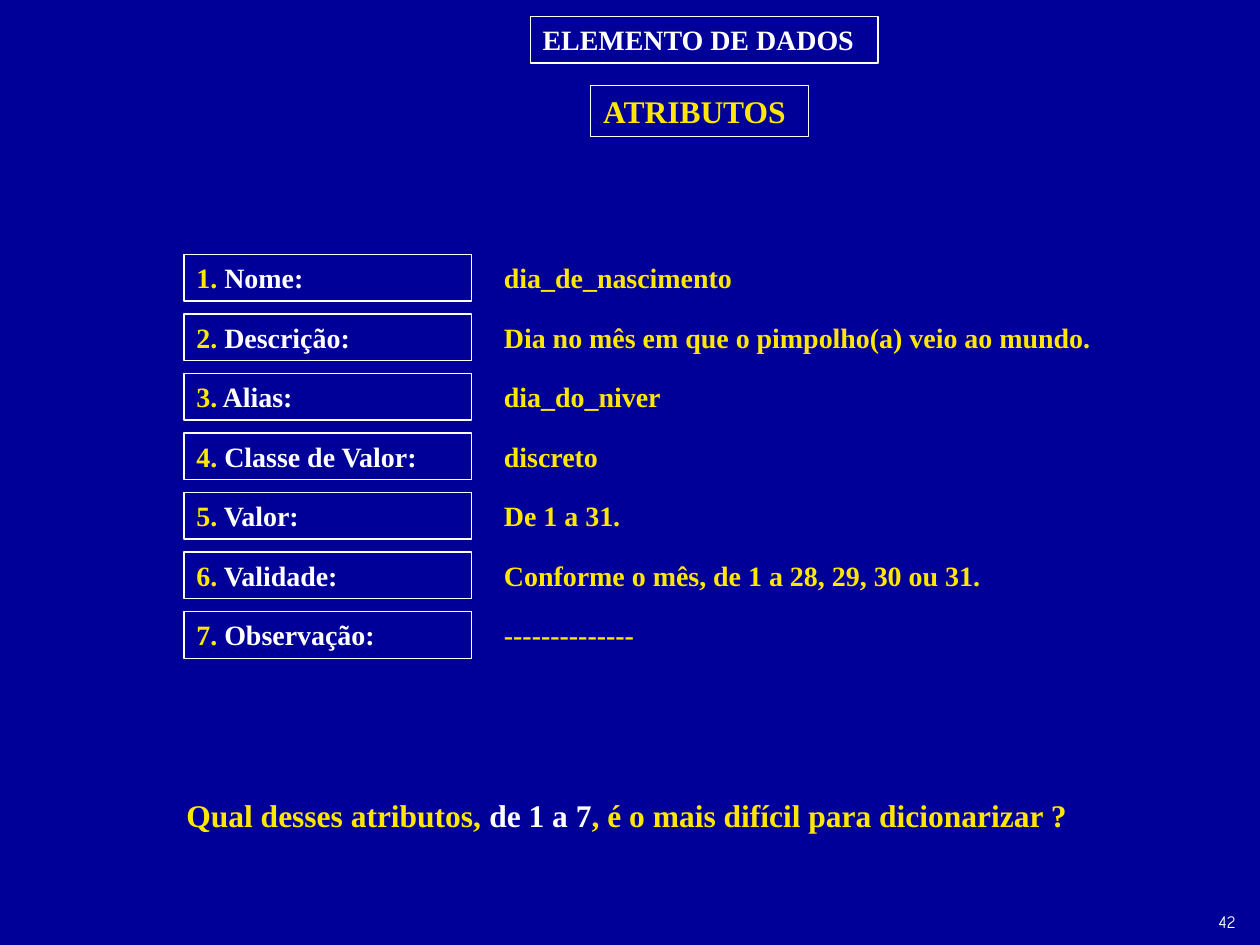
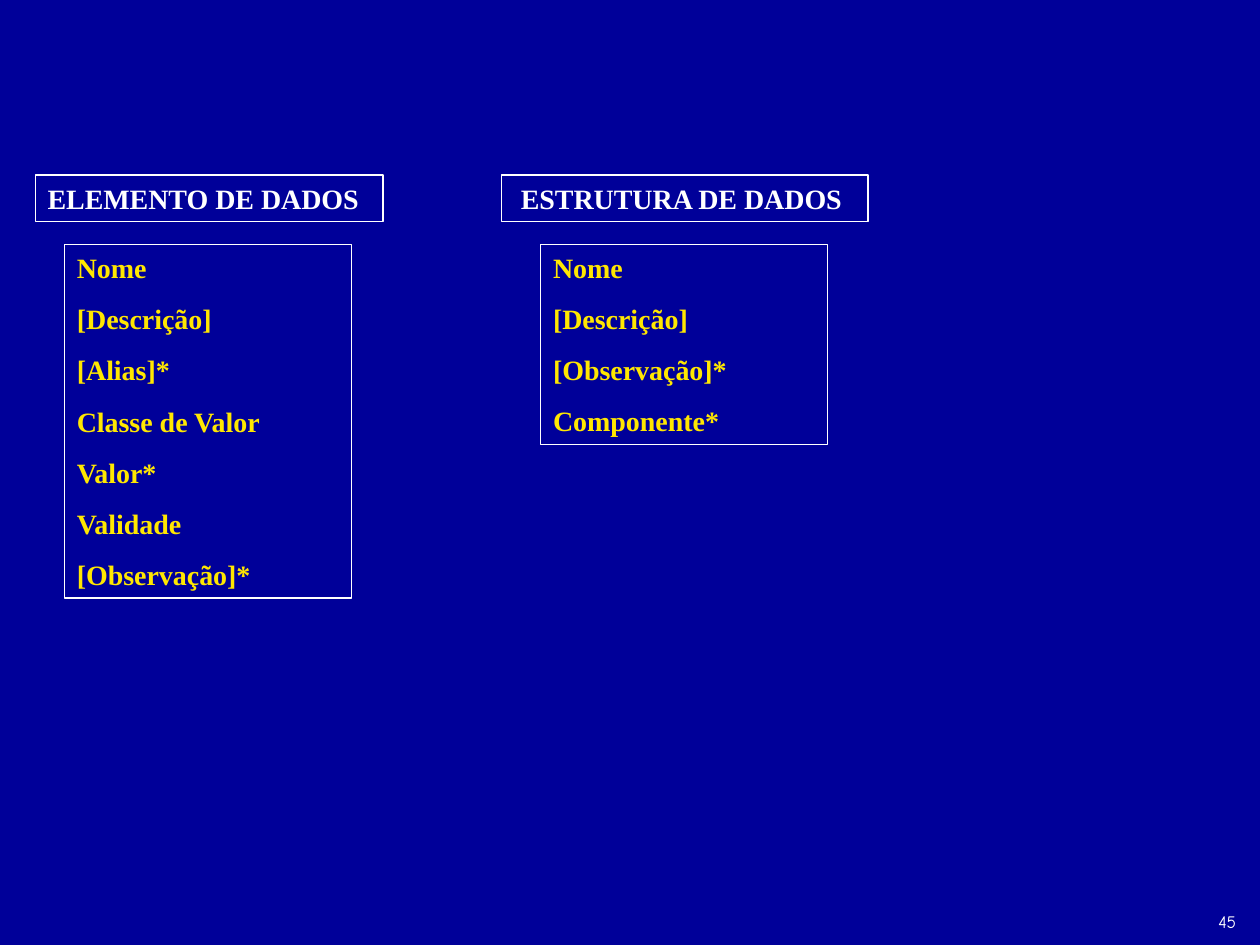
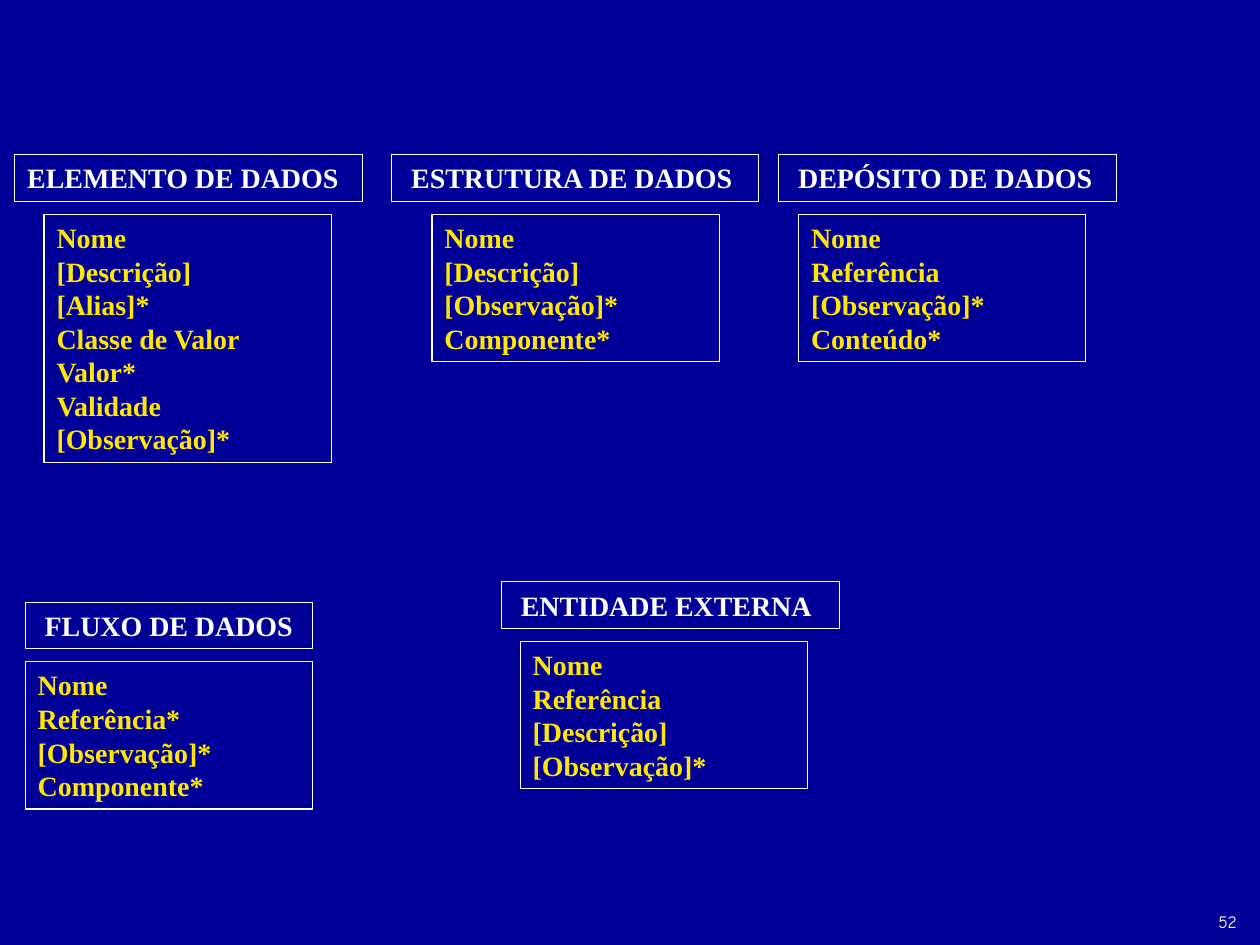
from dataclasses import dataclass
from pptx import Presentation
from pptx.dml.color import RGBColor as Color
from pptx.enum.shapes import MSO_SHAPE as Preset
from pptx.enum.text import MSO_ANCHOR as Anchor, MSO_AUTO_SIZE as AutoSize, PP_ALIGN as Align
from pptx.util import Cm, Pt


@dataclass(frozen=True)
class Theme:
    background: Color = Color.from_string("000099")
    white: Color = Color.from_string("FFFFFF")
    yellow: Color = Color.from_string("FFE701")
    serif: str = "Times New Roman"
    casual: str = "Comic Neue"
    body: int = 16
    large: int = 18
    small: int = 10
    leading: float = 1.2
    line_width: float = 0.74
    box_width: float = 5.79
    box_height: float = 0.94
    large_height: float = 1.02
    row_height: float = 0.68
    insets: float = 0.25


THEME = Theme()


class Deck:
    def __init__(self, theme):
        self.theme = theme
        self.presentation = Presentation()
        self.presentation.slide_width = Cm(25.4)
        self.presentation.slide_height = Cm(19.05)
        fill = self.presentation.slide_master.background.fill
        fill.solid()
        fill.fore_color.rgb = theme.background
        self.slide = None

    def add_slide(self, number):
        self.slide = self.presentation.slides.add_slide(self.presentation.slide_layouts[6])
        self.text(24.31, 18.24, 0.99, 0.69, [[(number, self.theme.white)]],
                  size=self.theme.small, font=self.theme.casual, bold=False, space=6.2)

    def fill_text(self, shape, paragraphs, size, font, bold, space):
        frame = shape.text_frame
        frame_format = {
            "word_wrap": True,
            "auto_size": AutoSize.SHAPE_TO_FIT_TEXT,
            "vertical_anchor": Anchor.TOP,
        }
        for name, value in frame_format.items():
            setattr(frame, name, value)
        paragraph_format = {
            "alignment": Align.LEFT,
            "space_before": Pt(space),
            "line_spacing": Pt(size * self.theme.leading),
        }
        font_format = {"name": font, "size": Pt(size), "bold": bold}
        for index, runs in enumerate(paragraphs):
            paragraph = frame.add_paragraph() if index else frame.paragraphs[0]
            for name, value in paragraph_format.items():
                setattr(paragraph, name, value)
            for words, color in runs:
                run = paragraph.add_run()
                run.text = words
                run.font.color.rgb = color
                for name, value in font_format.items():
                    setattr(run.font, name, value)

    def text(self, left, top, width, height, paragraphs,
             size=THEME.body, font=THEME.serif, bold=True, space=10):
        shape = self.slide.shapes.add_textbox(Cm(left), Cm(top), Cm(width), Cm(height))
        self.fill_text(shape, paragraphs, size, font, bold, space)

    def box(self, left, top, width, height, paragraphs, size=THEME.body, space=10):
        shape = self.slide.shapes.add_shape(
            Preset.RECTANGLE, Cm(left), Cm(top), Cm(width), Cm(height))
        shape.shadow.inherit = False
        shape.fill.background()
        shape.line.color.rgb = self.theme.white
        shape.line.width = Pt(self.theme.line_width)
        self.fill_text(shape, paragraphs, size, self.theme.serif, True, space)

    def heading(self, left, top, width, words, space=10):
        self.box(left, top, width, self.theme.box_height,
                 [[(words, self.theme.white)]], space=space)

    def card(self, left, top, width, list_left, title, items, offset, space):
        self.heading(left, top, width, title, space)
        count = len(items)
        height = (count * self.theme.row_height + (count - 1) * Pt(space).cm
                  + 2 * self.theme.insets / 2)
        self.box(list_left, top + offset, self.theme.box_width, height,
                 [[(item, self.theme.yellow)] for item in items], space=space)


ELEMENT = ("ELEMENTO DE DADOS",
           ["Nome", "[Descrição]", "[Alias]*", "Classe de Valor",
            "Valor*", "Validade", "[Observação]* "])
STRUCTURE = (" ESTRUTURA DE DADOS",
             ["Nome", "[Descrição]", "[Observação]*", "Componente*"])
STORE = (" DEPÓSITO DE DADOS",
         ["Nome", "Referência", "[Observação]*", "Conteúdo*"])
FLOW = (" FLUXO DE DADOS",
        ["Nome", "Referência*", "[Observação]*", "Componente*"])
ENTITY = (" ENTIDADE EXTERNA",
          ["Nome", "Referência", "[Descrição]", "[Observação]*"])

ATTRIBUTES = [
    ("Nome", "dia_de_nascimento", 5.79),
    ("Descrição", "Dia no mês em que o pimpolho(a) veio ao mundo.", 12.6),
    ("Alias", "dia_do_niver", 5.79),
    ("Classe de Valor", "discreto", 5.79),
    ("Valor", "De 1 a 31.", 5.79),
    ("Validade", "Conforme o mês, de 1 a 28, 29, 30 ou 31.", 10.21),
    ("Observação", "-" * 14, 3.4),
]


def attributes_slide(deck):
    theme = deck.theme
    deck.add_slide("42")
    deck.heading(10.69, 0.33, 7.01, "ELEMENTO DE DADOS")
    deck.box(11.91, 1.73, 4.39, theme.large_height, [[("ATRIBUTOS", theme.yellow)]],
             size=theme.large, space=11.2)
    for index, (label, value, width) in enumerate(ATTRIBUTES):
        top = 5.13 + 1.2 * index
        deck.box(3.71, top, theme.box_width, theme.box_height,
                 [[(f"{index + 1}.", theme.yellow), (f" {label}: ", theme.white)]])
        deck.text(9.91, top, width, theme.box_height, [[(value, theme.yellow)]])
    question = [
        ("Qual desses atributos, ", theme.yellow),
        ("de 1 a 7", theme.white),
        (", é o mais difícil para dicionarizar ?", theme.yellow),
    ]
    deck.text(3.51, 15.93, 18.59, theme.large_height, [question],
              size=theme.large, space=11.2)


def cards_slide(deck, number, cards, offset, space):
    deck.add_slide(number)
    for left, top, width, list_left, (title, items) in cards:
        deck.card(left, top, width, list_left, title, items, offset, space)


deck = Deck(THEME)
attributes_slide(deck)
cards_slide(deck, "45", [
    (0.71, 3.53, 7.01, 1.3, ELEMENT),
    (10.11, 3.53, 7.39, 10.9, STRUCTURE),
], offset=1.4, space=10)
cards_slide(deck, "52", [
    (0.3, 3.12, 7.01, 0.89, ELEMENT),
    (7.9, 3.12, 7.39, 8.71, STRUCTURE),
    (15.7, 3.12, 6.81, 16.1, STORE),
    (0.51, 12.14, 5.79, 0.51, FLOW),
    (10.11, 11.73, 6.81, 10.49, ENTITY),
], offset=1.2, space=0)
deck.presentation.save("out.pptx")
